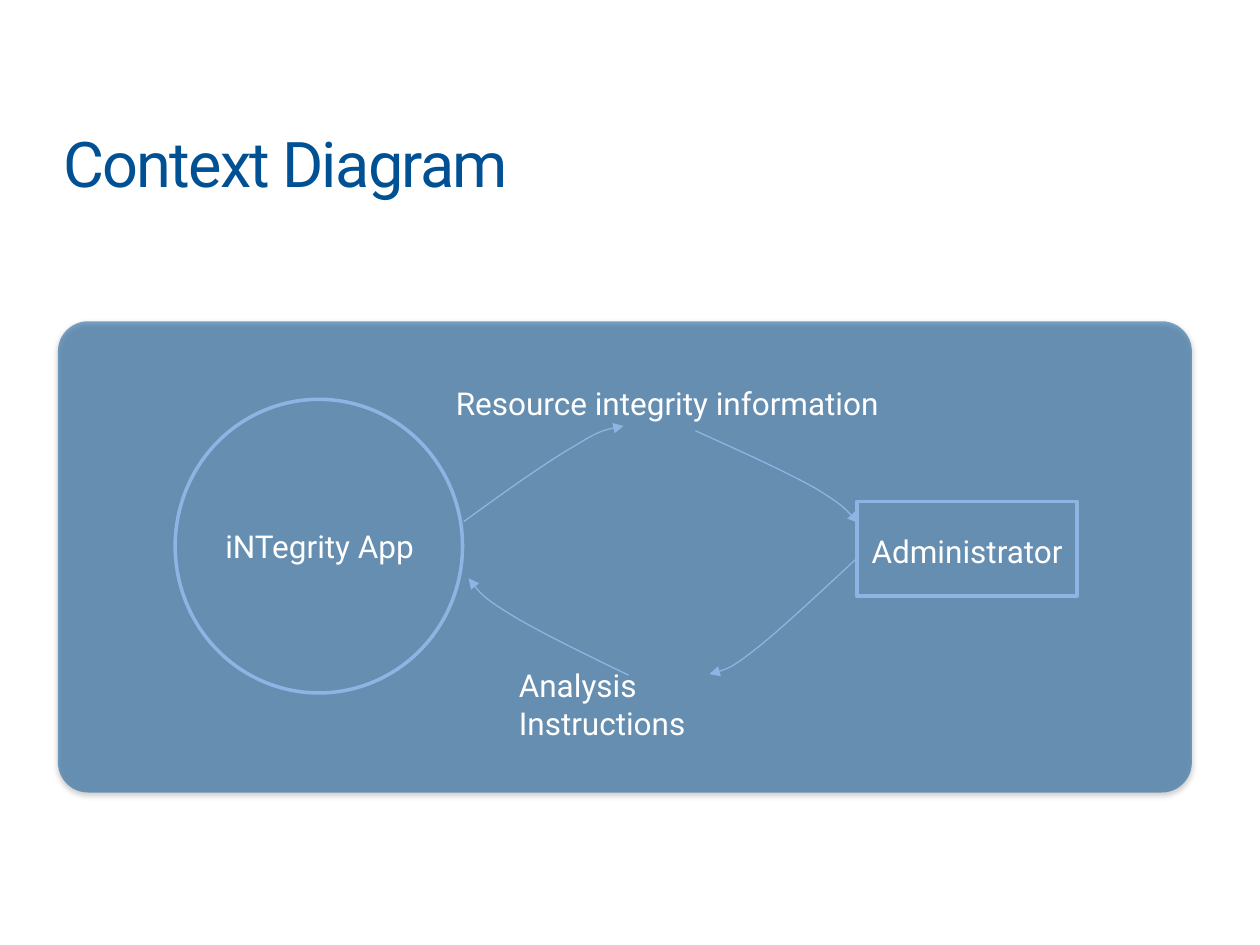
from dataclasses import dataclass

from lxml.etree import SubElement
from pptx import Presentation
from pptx.dml.color import RGBColor
from pptx.enum.shapes import MSO_SHAPE
from pptx.enum.text import MSO_ANCHOR, MSO_AUTO_SIZE, PP_ALIGN
from pptx.oxml import parse_xml
from pptx.oxml.ns import nsdecls, qn
from pptx.util import Pt


@dataclass(frozen=True)
class Theme:
    font: str = "Roboto"
    navy: RGBColor = RGBColor(0x00, 0x51, 0x94)
    outline: RGBColor = RGBColor(0x8E, 0xB4, 0xE3)
    white: RGBColor = RGBColor(0xFF, 0xFF, 0xFF)
    title_size: float = 36
    label_size: float = 18
    node_line: float = 2
    flow_line: float = 0.75


@dataclass(frozen=True)
class Box:
    left: float
    top: float
    width: float
    height: float

    def emu(self) -> tuple:
        return Pt(self.left), Pt(self.top), Pt(self.width), Pt(self.height)


@dataclass(frozen=True)
class Node:
    shape: MSO_SHAPE
    box: Box


@dataclass(frozen=True)
class Label:
    text: str
    box: Box
    wrap: bool = False


@dataclass(frozen=True)
class Flow:
    """Start point, then three points for each Bezier segment."""
    points: tuple


THEME = Theme()
TITLE_BOX = Box(36, 70.6, 648, 43.9)
PANEL_BOX = Box(33.1, 183.6, 648, 269.3)

NODES = [
    Node(MSO_SHAPE.OVAL, Box(100.1, 228.2, 164.2, 167.8)),
    Node(MSO_SHAPE.RECTANGLE, Box(489.6, 286.6, 126, 54)),
]
LABELS = [
    Label("iNTegrity App", Box(121.7, 297.4, 124.6, 29)),
    Label("Resource integrity information", Box(253.4, 216, 257.8, 29)),
    Label("Analysis\vInstructions", Box(289.4, 377.3, 176.4, 29), wrap=True),
    Label("Administrator", Box(491, 300.2, 123.8, 29)),
]
FLOWS = [
    # App to information, information to administrator
    Flow(((265, 298.1), (288.7, 280.8), (313.2, 263.5), (328.3, 254.9),
          (343.4, 245.5), (349.9, 244.8), (356.4, 243.4))),
    Flow(((397.4, 246.2), (424.8, 258.5), (451.4, 270.7), (466.6, 279.4),
          (481.7, 288.7), (486, 293.8), (490.3, 298.8))),
    # Administrator to instructions, instructions to app
    Flow(((488.9, 319.7), (467.3, 339.8), (445.7, 360), (432, 370.8),
          (418.3, 381.6), (411.8, 383.8), (405.4, 385.2))),
    Flow(((359.3, 385.9), (332.6, 373), (306, 360), (290.9, 350.6),
          (275.8, 341.3), (272.2, 336.2), (267.8, 330.5))),
]


def style_font(run, size: float, color: RGBColor) -> None:
    run.font.name = THEME.font
    run.font.size = Pt(size)
    run.font.color.rgb = color


def add_title(s, text: str) -> None:
    sp = s.shapes.title
    sp.left, sp.top, sp.width, sp.height = TITLE_BOX.emu()
    tf = sp.text_frame
    tf.text = text
    tf.margin_left = tf.margin_top = tf.margin_right = tf.margin_bottom = 0
    tf.vertical_anchor = MSO_ANCHOR.MIDDLE
    tf.auto_size = MSO_AUTO_SIZE.SHAPE_TO_FIT_TEXT
    p = tf.paragraphs[0]
    p.alignment = PP_ALIGN.LEFT
    r = p.runs[0]
    style_font(r, THEME.title_size, THEME.navy)
    r.font._element.set("spc", "-100")


def add_panel(s) -> None:
    sp = s.shapes.add_shape(MSO_SHAPE.ROUNDED_RECTANGLE, *PANEL_BOX.emu())
    sp.adjustments[0] = 0.064
    sp.fill.solid()
    sp.fill.fore_color.rgb = THEME.navy
    sp.line.fill.background()
    # Half-transparent fill and a soft shadow below
    color = sp.element.spPr.find(qn("a:solidFill"))[0]
    SubElement(color, qn("a:alpha"), val="50000")
    sp.element.spPr.append(parse_xml(
        f'<a:effectLst {nsdecls("a")}>'
        f'<a:outerShdw blurRad="{Pt(3.1)}" dist="{Pt(1.6)}" dir="5400000" rotWithShape="0">'
        '<a:srgbClr val="000000"><a:alpha val="38000"/></a:srgbClr>'
        '</a:outerShdw></a:effectLst>'))


def style_outline(sp, width: float) -> None:
    sp.shadow.inherit = False
    sp.fill.background()
    sp.line.color.rgb = THEME.outline
    sp.line.width = Pt(width)


def add_node(s, node: Node) -> None:
    sp = s.shapes.add_shape(node.shape, *node.box.emu())
    style_outline(sp, THEME.node_line)


def add_label(s, label: Label) -> None:
    tf = s.shapes.add_textbox(*label.box.emu()).text_frame
    tf.word_wrap = label.wrap
    tf.auto_size = MSO_AUTO_SIZE.SHAPE_TO_FIT_TEXT
    p = tf.paragraphs[0]
    p.text = label.text
    for r in p.runs:
        style_font(r, THEME.label_size, THEME.white)


def add_flow(s, flow: Flow) -> None:
    start, *rest = [(Pt(x), Pt(y)) for x, y in flow.points]
    builder = s.shapes.build_freeform(*start)
    builder.add_line_segments(rest, close=False)
    sp = builder.convert_to_shape()
    style_outline(sp, THEME.flow_line)
    # Gather every three straight steps into one Bezier segment
    steps = list(sp.element.iter(qn("a:lnTo")))
    outline = steps[0].getparent()
    for i in range(0, len(steps), 3):
        curve = SubElement(outline, qn("a:cubicBezTo"))
        for step in steps[i:i + 3]:
            curve.append(step[0])
            outline.remove(step)
    SubElement(sp.line._get_or_add_ln(), qn("a:tailEnd"), type="triangle")


def main() -> None:
    prs = Presentation()
    prs.slide_width, prs.slide_height = Pt(720), Pt(540)
    s = prs.slides.add_slide(prs.slide_layouts[5])
    add_panel(s)
    add_title(s, "Context Diagram")
    for node in NODES:
        add_node(s, node)
    for label in LABELS:
        add_label(s, label)
    for flow in FLOWS:
        add_flow(s, flow)
    prs.save("out.pptx")


if __name__ == "__main__":
    main()
